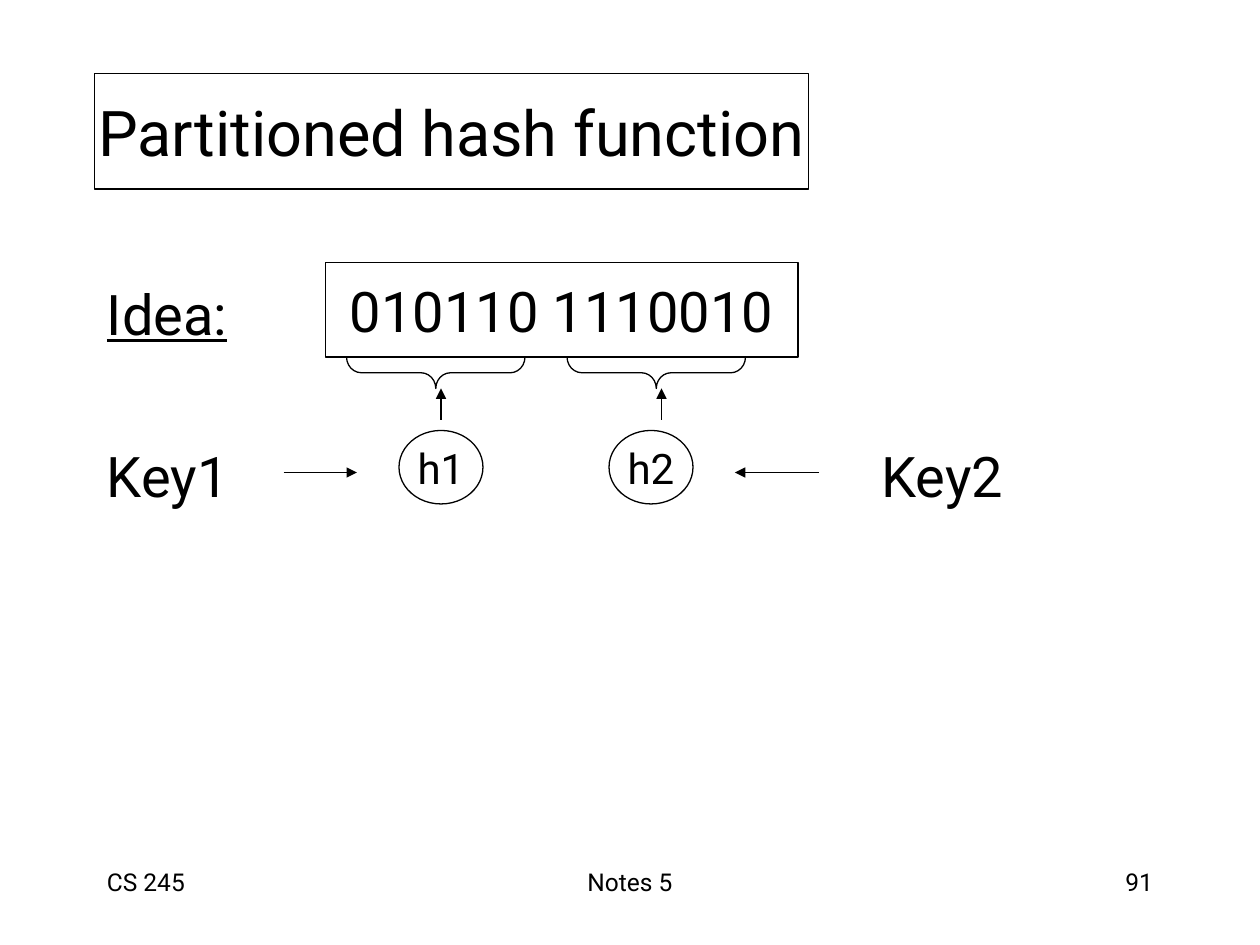
from dataclasses import dataclass
from typing import Optional

from lxml import etree
from pptx import Presentation
from pptx.dml.color import RGBColor
from pptx.enum.shapes import MSO_CONNECTOR, MSO_SHAPE
from pptx.enum.text import MSO_ANCHOR, MSO_AUTO_SIZE, PP_ALIGN
from pptx.oxml.ns import qn
from pptx.util import Emu, Inches, Pt

RECT, OVAL, BRACE = MSO_SHAPE.RECTANGLE, MSO_SHAPE.OVAL, MSO_SHAPE.RIGHT_BRACE
LEFT, MID, RIGHT = PP_ALIGN.LEFT, PP_ALIGN.CENTER, PP_ALIGN.RIGHT
TOP, CENTRE = MSO_ANCHOR.TOP, MSO_ANCHOR.MIDDLE
STRAIGHT, FIXED = MSO_CONNECTOR.STRAIGHT, MSO_AUTO_SIZE.NONE
TITLE_ONLY = 5


@dataclass(frozen=True)
class Theme:
    font: str = "Roboto"
    ink: RGBColor = RGBColor(0, 0, 0)
    paper: RGBColor = RGBColor(255, 255, 255)
    title: int = 36
    body: int = 32
    node: int = 24
    foot: int = 14
    line: float = 0.75


@dataclass(frozen=True)
class Box:
    col: float
    row: float
    wide: float
    high: float

    def place(self) -> tuple[Emu, Emu, Emu, Emu]:
        return grid(self.col), grid(self.row), grid(self.wide), grid(self.high)


@dataclass(frozen=True)
class Label:
    text: str
    box: Box
    size: int
    align: PP_ALIGN = LEFT
    under: Optional[bool] = None


@dataclass(frozen=True)
class Arrow:
    col: float
    row: float
    to_col: float
    to_row: float


THEME = Theme()
CELL = Inches(1) / 12


def grid(cells: float) -> Emu:
    return Emu(round(cells * CELL))


def write(shape, label: Label, anchor: MSO_ANCHOR, wrap: bool) -> None:
    frame = shape.text_frame
    frame.text = label.text
    frame.auto_size = FIXED
    frame.word_wrap = wrap
    frame.vertical_anchor = anchor
    para = frame.paragraphs[0]
    para.alignment = label.align
    font = para.font
    font.name, font.size = THEME.font, Pt(label.size)
    font.color.rgb = THEME.ink
    font.underline = label.under


def trace(line) -> None:
    line.color.rgb = THEME.ink
    line.width = Pt(THEME.line)


def frame_in(shape, label: Label) -> None:
    shape.fill.solid()
    shape.fill.fore_color.rgb = THEME.paper
    trace(shape.line)
    write(shape, label, CENTRE, False)


def add_title(slide, label: Label) -> None:
    title = slide.shapes.title
    title.left, title.top, title.width, title.height = label.box.place()
    frame_in(title, label)
    title.text_frame.margin_left = title.text_frame.margin_right = 0


def add_text(slide, label: Label) -> None:
    write(slide.shapes.add_textbox(*label.box.place()), label, TOP, True)


def add_node(slide, kind: MSO_SHAPE, label: Label) -> None:
    shape = slide.shapes.add_shape(kind, *label.box.place())
    shape.shadow.inherit = False
    frame_in(shape, label)


def add_brace(slide, box: Box) -> None:
    shape = slide.shapes.add_shape(BRACE, *box.place())
    shape.shadow.inherit = False
    shape.rotation = 90
    shape.adjustments[0] = 0.47
    shape.fill.background()
    trace(shape.line)


def add_arrow(slide, arrow: Arrow) -> None:
    ends = (arrow.col, arrow.row, arrow.to_col, arrow.to_row)
    link = slide.shapes.add_connector(STRAIGHT, *map(grid, ends))
    trace(link.line)
    props = link.line._get_or_add_ln()
    etree.SubElement(props, qn("a:tailEnd"), type="triangle")
    etree.SubElement(link._element.spPr, qn("a:effectLst"))


def main() -> None:
    deck = Presentation()
    deck.slide_width, deck.slide_height = Inches(10), Inches(7.5)
    slide = deck.slides.add_slide(deck.slide_layouts[TITLE_ONLY])

    head = Box(9, 7, 68, 11)
    add_title(slide, Label("Partitioned hash function", head, THEME.title, MID))

    for label in (
        Label("CS 245", Box(9, 82, 25, 6), THEME.foot),
        Label("Notes 5", Box(41, 82, 38, 6), THEME.foot, MID),
        Label("91", Box(86, 82, 25, 6), THEME.foot, RIGHT),
        Label("Idea:", Box(9, 26, 18, 8), THEME.body, under=True),
        Label("Key1", Box(9, 41.5, 18, 8), THEME.body),
        Label("Key2", Box(82.75, 41.5, 18, 8), THEME.body),
    ):
        add_text(slide, label)

    bits = Label("010110 1110010", Box(31, 25, 45, 9), THEME.body, MID)
    add_node(slide, RECT, bits)
    for i in range(2):
        oval = Box(38 + 20 * i, 41, 8, 7)
        add_node(slide, OVAL, Label(f"h{i + 1}", oval, THEME.node, MID))
        add_brace(slide, Box(40 + 21 * i, 27, 3, 17))
        col = 42 + 21 * i
        add_arrow(slide, Arrow(col, 40, col, 37))
    add_arrow(slide, Arrow(27, 45, 34, 45))
    add_arrow(slide, Arrow(78, 45, 70, 45))

    deck.save("out.pptx")


if __name__ == "__main__":
    main()
